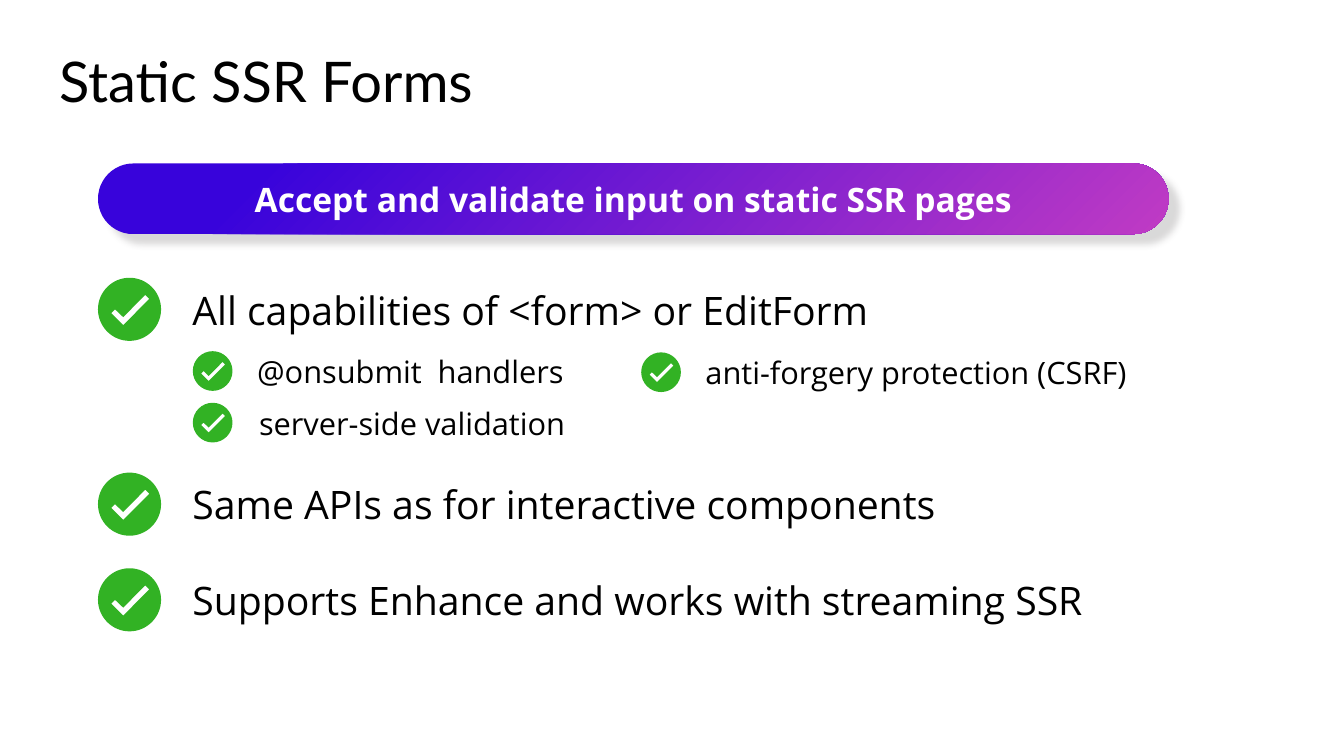
from itertools import pairwise

from lxml.etree import SubElement
from pptx import Presentation
from pptx.dml.color import RGBColor
from pptx.enum.shapes import MSO_SHAPE
from pptx.enum.text import MSO_ANCHOR, MSO_AUTO_SIZE, PP_ALIGN
from pptx.oxml import parse_xml
from pptx.oxml.ns import nsdecls, qn
from pptx.util import Cm, Pt

COLORS = {
    "text": "000000",
    "banner_text": "FFFFFF",
    "check": "32B224",
    "banner_start": "C03BC4",
    "banner_end": "3803DB",
    "shadow": "454142",
}
BADGE_UNITS = 1000
ARC_FACTOR = 0.55
RIM = [(500, 0), (0, 500), (500, 1000), (1000, 500), (500, 0)]
CORNERS = [(0, 0), (0, 1000), (1000, 1000), (1000, 0)]
CHECK_MARK = [(400, 750), (210, 560), (270, 500), (400, 625), (750, 270), (815, 335)]

MAIN_STYLE = {"badge": 1.59, "text_dy": 0.08, "height": 1.45, "size": 28}
SUB_STYLE = {"badge": 1, "text_dy": -0.08, "height": 1.18, "size": 22}

POINTS = [
    ("All capabilities of <form> or EditForm", 2.47, 7, 4.6, 17.73, MAIN_STYLE),
    ("@onsubmit  handlers", 4.86, 8.85, 6.23, 8.33, SUB_STYLE),
    ("Same APIs as for interactive components", 2.47, 11.91, 4.6, 19.46, MAIN_STYLE),
    ("server-side validation", 4.86, 10.15, 6.28, 8.33, SUB_STYLE),
    ("Supports Enhance and works with streaming SSR", 2.47, 14.32, 4.6, 23.22, MAIN_STYLE),
    ("anti-forgery protection (CSRF)", 16.16, 8.88, 17.53, 11.28, SUB_STYLE),
]


def write(frame, wording, font_name, size, color, bold=False):
    frame.text = wording
    font = frame.paragraphs[0].runs[0].font
    font.name = font_name
    font.size = Pt(size)
    font.bold = bold
    font.color.rgb = RGBColor.from_string(COLORS[color])


def add_label(shapes, wording, left, top, width, height, font_name, size, wrap=False):
    label = shapes.add_textbox(Cm(left), Cm(top), Cm(width), Cm(height))
    label.text_frame.word_wrap = wrap
    label.text_frame.auto_size = MSO_AUTO_SIZE.SHAPE_TO_FIT_TEXT
    write(label.text_frame, wording, font_name, size, "text")


def toward(start, corner):
    return tuple(round(s + ARC_FACTOR * (c - s)) for s, c in zip(start, corner))


def round_rim(badge):
    sides = list(badge.element.spPr.iter(qn("a:lnTo")))
    for side, (start, end), corner in zip(sides, pairwise(RIM), CORNERS):
        curve = parse_xml(f'<a:cubicBezTo {nsdecls("a")}/>')
        for x, y in (toward(start, corner), toward(end, corner), end):
            SubElement(curve, qn("a:pt"), x=str(x), y=str(y))
        side.getparent().replace(side, curve)


def add_check_badge(shapes, left, top, diameter):
    outline = shapes.build_freeform(*RIM[0], scale=Cm(diameter) / BADGE_UNITS)
    outline.add_line_segments(RIM[1:], close=True)
    outline.move_to(*CHECK_MARK[0])
    outline.add_line_segments(CHECK_MARK[1:], close=True)
    badge = outline.convert_to_shape(Cm(left), Cm(top))
    round_rim(badge)
    badge.shadow.inherit = False
    badge.fill.solid()
    badge.fill.fore_color.rgb = RGBColor.from_string(COLORS["check"])
    badge.line.fill.background()


def add_point(slide, wording, left, top, text_left, width, style):
    point = slide.shapes.add_group_shape()
    add_check_badge(point.shapes, left, top, style["badge"])
    add_label(point.shapes, wording, text_left, top + style["text_dy"],
              width, style["height"], "Open Sans", style["size"])


def fill_radial(shape, inner, outer):
    shape.fill.background()
    properties = shape.element.spPr
    gradient = parse_xml(
        f'<a:gradFill {nsdecls("a")} rotWithShape="1"><a:gsLst>'
        f'<a:gs pos="0"><a:srgbClr val="{inner}"/></a:gs>'
        f'<a:gs pos="85000"><a:srgbClr val="{outer}"/></a:gs></a:gsLst>'
        '<a:path path="circle"><a:fillToRect l="100000" t="100000"/></a:path>'
        '</a:gradFill>')
    properties.replace(properties.find(qn("a:noFill")), gradient)


def add_shadow(shape):
    shape.shadow.inherit = False
    effects = shape.element.spPr.find(qn("a:effectLst"))
    shadow = SubElement(effects, qn("a:outerShdw"), blurRad=str(Pt(5)), dist=str(Pt(10)),
                        dir="2700000", algn="tl", rotWithShape="0")
    color = SubElement(shadow, qn("a:srgbClr"), val=COLORS["shadow"])
    SubElement(color, qn("a:alpha"), val="20000")


def add_banner(slide, wording, left, top, width, height):
    banner = slide.shapes.add_shape(MSO_SHAPE.ROUNDED_RECTANGLE,
                                    Cm(left), Cm(top), Cm(width), Cm(height))
    banner.adjustments[0] = 0.5
    fill_radial(banner, COLORS["banner_start"], COLORS["banner_end"])
    banner.line.fill.background()
    add_shadow(banner)
    frame = banner.text_frame
    frame.margin_left = frame.margin_right = frame.margin_top = frame.margin_bottom = 0
    frame.vertical_anchor = MSO_ANCHOR.MIDDLE
    frame.word_wrap = True
    write(frame, wording, "Open Sans", 24, "banner_text", bold=True)
    frame.paragraphs[0].alignment = PP_ALIGN.CENTER


def main():
    deck = Presentation()
    deck.slide_width, deck.slide_height = Cm(33.87), Cm(19.05)
    slide = deck.slides.add_slide(deck.slide_layouts[6])
    add_label(slide.shapes, "Static SSR Forms", 1.24, 1.04, 12.6, 1.96, "Lato", 40, wrap=True)
    for point in POINTS:
        add_point(slide, *point)
    add_banner(slide, "Accept and validate input on static SSR pages", 2.47, 4.12, 26.98, 1.78)
    deck.save("out.pptx")


if __name__ == "__main__":
    main()
